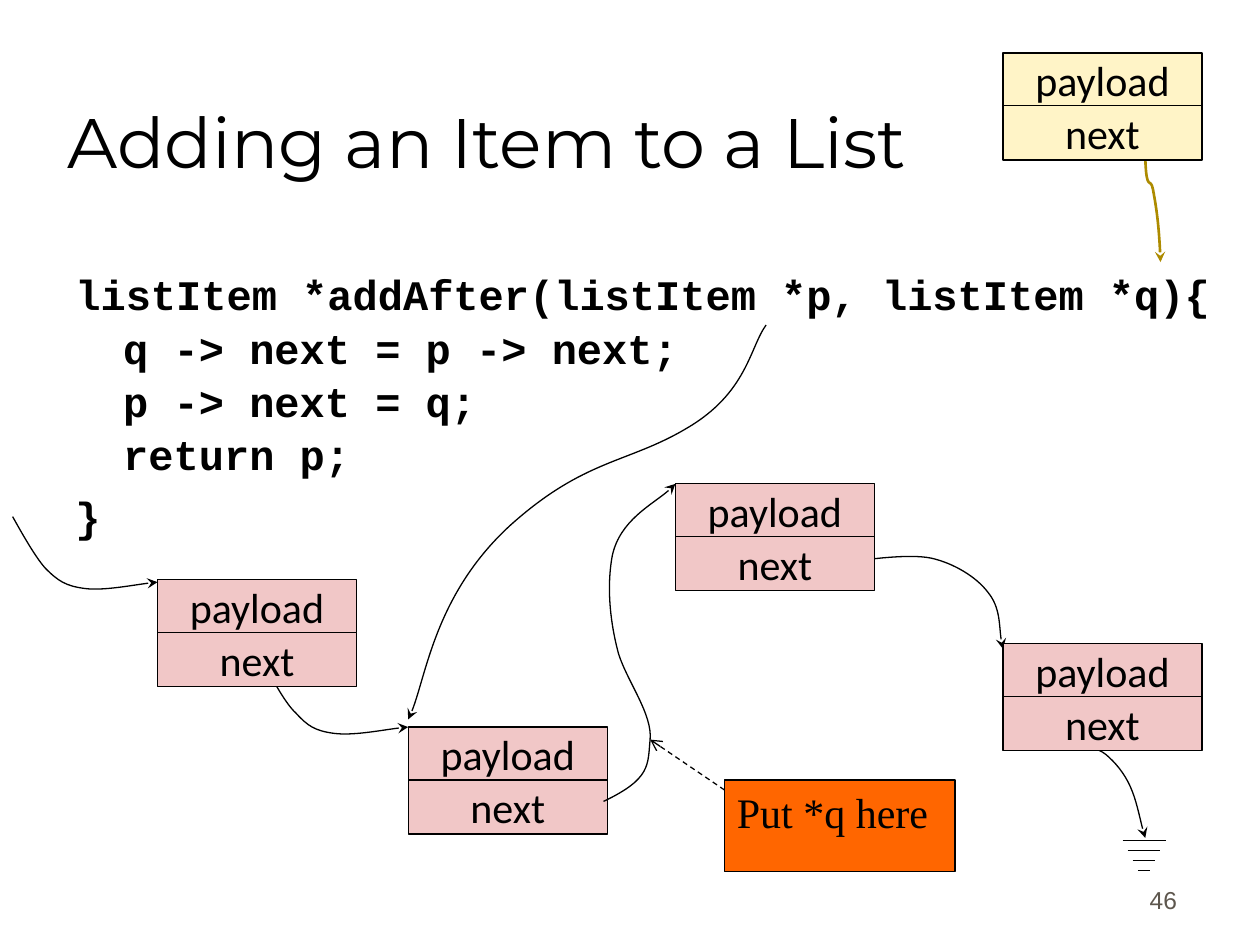
from dataclasses import dataclass

from lxml import etree
from pptx import Presentation
from pptx.dml.color import RGBColor
from pptx.enum.dml import MSO_LINE
from pptx.enum.shapes import MSO_CONNECTOR, MSO_SHAPE
from pptx.enum.text import MSO_ANCHOR, PP_ALIGN
from pptx.oxml.ns import qn
from pptx.util import Inches, Pt

RECTANGLE = MSO_SHAPE.RECTANGLE
STRAIGHT = MSO_CONNECTOR.STRAIGHT
DASH = MSO_LINE.DASH
TOP, MIDDLE, BOTTOM = MSO_ANCHOR.TOP, MSO_ANCHOR.MIDDLE, MSO_ANCHOR.BOTTOM
LEFT, CENTER, RIGHT = PP_ALIGN.LEFT, PP_ALIGN.CENTER, PP_ALIGN.RIGHT


@dataclass(frozen=True)
class Theme:
    ink: str = "000000"
    list_fill: str = "F1C7C7"
    new_fill: str = "FFF4C7"
    new_arrow: str = "AD8B00"
    note_fill: str = "FF6600"
    number_ink: str = "5E574E"
    title_size: float = 40
    text_size: float = 24
    number_size: float = 14
    thin: float = 0.75
    thick: float = 1.5


THEME = Theme()

NODE_WIDTH, FIELD_HEIGHT, FIELD_STEP = 1.58, 0.43, 0.42
LIST_NODES = [(1.25, 4.6), (3.24, 5.77), (5.36, 3.84), (7.96, 5.11)]
NEW_NODE = (7.96, 0.42)

# Each curve: a start point, then two control points and an end point per segment
LINKS = [
    [(2.08, 5.25), (2.13, 5.32), (2.25, 5.57), (2.35, 5.66),
     (2.44, 5.76), (2.5, 5.8), (2.65, 5.82),
     (2.8, 5.84), (3.11, 5.78), (3.24, 5.77)],
    [(8.53, 5.9), (8.57, 5.91), (8.71, 5.93), (8.78, 5.99),
     (8.85, 6.05), (8.92, 6.13), (8.97, 6.24),
     (9.02, 6.35), (9.06, 6.56), (9.09, 6.65)],
    [(6.72, 4.46), (6.83, 4.45), (7.2, 4.39), (7.39, 4.43),
     (7.57, 4.47), (7.75, 4.58), (7.84, 4.7),
     (7.94, 4.82), (7.93, 5.05), (7.96, 5.15)],
]
POINTERS = [
    [(6.08, 2.58), (5.95, 2.76), (5.93, 3.12), (5.45, 3.4),
     (4.98, 3.68), (4.64, 3.64), (4.05, 4.17),
     (3.46, 4.71), (3.37, 5.46), (3.24, 5.71)],
    [(4.79, 6.36), (5.17, 6.18), (5.14, 6.07), (5.16, 5.87),
     (5.18, 5.67), (4.98, 5.41), (4.91, 5.19),
     (4.85, 4.97), (4.81, 4.68), (4.86, 4.41),
     (4.92, 4.13), (5.26, 3.96), (5.36, 3.84)],
    [(0.1, 4.1), (0.14, 4.17), (0.27, 4.41), (0.36, 4.51),
     (0.46, 4.61), (0.52, 4.65), (0.67, 4.67),
     (0.81, 4.69), (1.13, 4.63), (1.25, 4.62)],
]
NEW_POINTER = [(9.09, 1.27), (9.1, 1.53), (9.13, 1.4), (9.15, 1.5),
               (9.17, 1.61), (9.2, 1.77), (9.21, 2.08)]


def color(value):
    return RGBColor.from_string(value)


def style_line(shape, ink=THEME.ink, width=THEME.thin, dash=None, head=None):
    shape.line.color.rgb = color(ink)
    shape.line.width = Pt(width)
    if dash:
        shape.line.dash_style = dash
    if head:
        outline = shape.element.spPr.find(qn("a:ln"))
        etree.SubElement(outline, qn("a:tailEnd"), type=head)


def write(box, text, font, size, ink=THEME.ink, bold=False,
          align=LEFT, anchor=TOP, wrap=True):
    frame = box.text_frame
    frame.word_wrap = wrap
    frame.vertical_anchor = anchor
    frame.text = text
    for para in frame.paragraphs:
        para.alignment = align
        for span in para.runs:
            span.font.name = font
            span.font.size = Pt(size)
            span.font.bold = bold
            span.font.color.rgb = color(ink)
    return frame


def add_text(page, left, top, width, height, *content, **options):
    box = page.shapes.add_textbox(
        Inches(left), Inches(top), Inches(width), Inches(height))
    return write(box, *content, **options)


def add_box(shapes, left, top, width, height, fill):
    box = shapes.add_shape(
        RECTANGLE, Inches(left), Inches(top), Inches(width), Inches(height))
    box.shadow.inherit = False
    box.fill.solid()
    box.fill.fore_color.rgb = color(fill)
    style_line(box)
    return box


def add_node(page, left, top, fill):
    group = page.shapes.add_group_shape()
    for row, label in enumerate(("payload", "next")):
        box = add_box(group.shapes, left, top + row * FIELD_STEP,
                      NODE_WIDTH, FIELD_HEIGHT, fill)
        frame = write(box, label, "Calibri", THEME.text_size,
                      align=CENTER, anchor=MIDDLE)
        frame.margin_left = frame.margin_right = Inches(0.03)
        frame.margin_top = frame.margin_bottom = Inches(0.01)


def add_line(shapes, start, end, **style):
    line = shapes.add_connector(
        STRAIGHT, *(Inches(value) for value in (*start, *end)))
    style_line(line, **style)
    etree.SubElement(line.element.spPr, qn("a:effectLst"))


def add_curve(page, points, **style):
    corners = [(Inches(x), Inches(y)) for x, y in points]
    builder = page.shapes.build_freeform(*corners[0])
    builder.add_line_segments(corners[1:], close=False)
    curve = builder.convert_to_shape()
    # Join every three straight steps into one Bezier segment
    steps = list(curve.element.iter(qn("a:lnTo")))
    outline = steps[0].getparent()
    for first in range(0, len(steps), 3):
        bezier = etree.SubElement(outline, qn("a:cubicBezTo"))
        for step in steps[first:first + 3]:
            bezier.append(step[0])
            outline.remove(step)
    curve.shadow.inherit = False
    curve.fill.background()
    style_line(curve, head="stealth", **style)


def add_ground(page, center, top):
    group = page.shapes.add_group_shape()
    for row in range(4):
        half, y = 0.17 - 0.04 * row, top + 0.08 * row
        add_line(group.shapes, (center - half, y), (center + half, y))


def add_code(page):
    code = ("listItem *addAfter(listItem *p, listItem *q){\v"
            "q -> next = p -> next;\vp -> next = q;\vreturn p;\n}")
    frame = add_text(page, 0.5, 2.06, 9.33, 4.56, code, "Courier New",
                     THEME.text_size, bold=True)
    for para in frame.paragraphs:
        para.space_before = Pt(4.8)
        para.line_spacing = 1.06
        layout = para._p.get_or_add_pPr()
        layout.set("marL", str(Inches(0.38)))
        layout.set("indent", str(-Inches(0.38)))


def main():
    deck = Presentation()
    deck.slide_width, deck.slide_height = Inches(10), Inches(7.5)
    page = deck.slides.add_slide(deck.slide_layouts[6])

    # Title and code
    add_text(page, 0.44, 0.25, 8.5, 1.25, "Adding an Item to a List",
             "Montserrat", THEME.title_size, anchor=BOTTOM)
    add_code(page)

    # Linked list
    for points in LINKS:
        add_curve(page, points)
    add_ground(page, 9.08, 6.67)
    for left, top in LIST_NODES:
        add_node(page, left, top, THEME.list_fill)

    # New item and pointers
    add_curve(page, NEW_POINTER, ink=THEME.new_arrow, width=THEME.thick)
    add_node(page, *NEW_NODE, THEME.new_fill)
    for points in POINTERS:
        add_curve(page, points)

    # Slide number
    add_text(page, 7.36, 6.81, 2.08, 0.5, "46", "Arial", THEME.number_size,
             ink=THEME.number_ink, align=RIGHT, anchor=BOTTOM)

    # Note on where the item goes
    note = add_box(page.shapes, 5.75, 6.19, 1.83, 0.73, THEME.note_fill)
    write(note, "Put *q here", "Times New Roman", THEME.text_size, wrap=False)
    add_line(page.shapes, (5.75, 6.27), (5.16, 5.87), dash=DASH, head="arrow")

    deck.save("out.pptx")


main()
